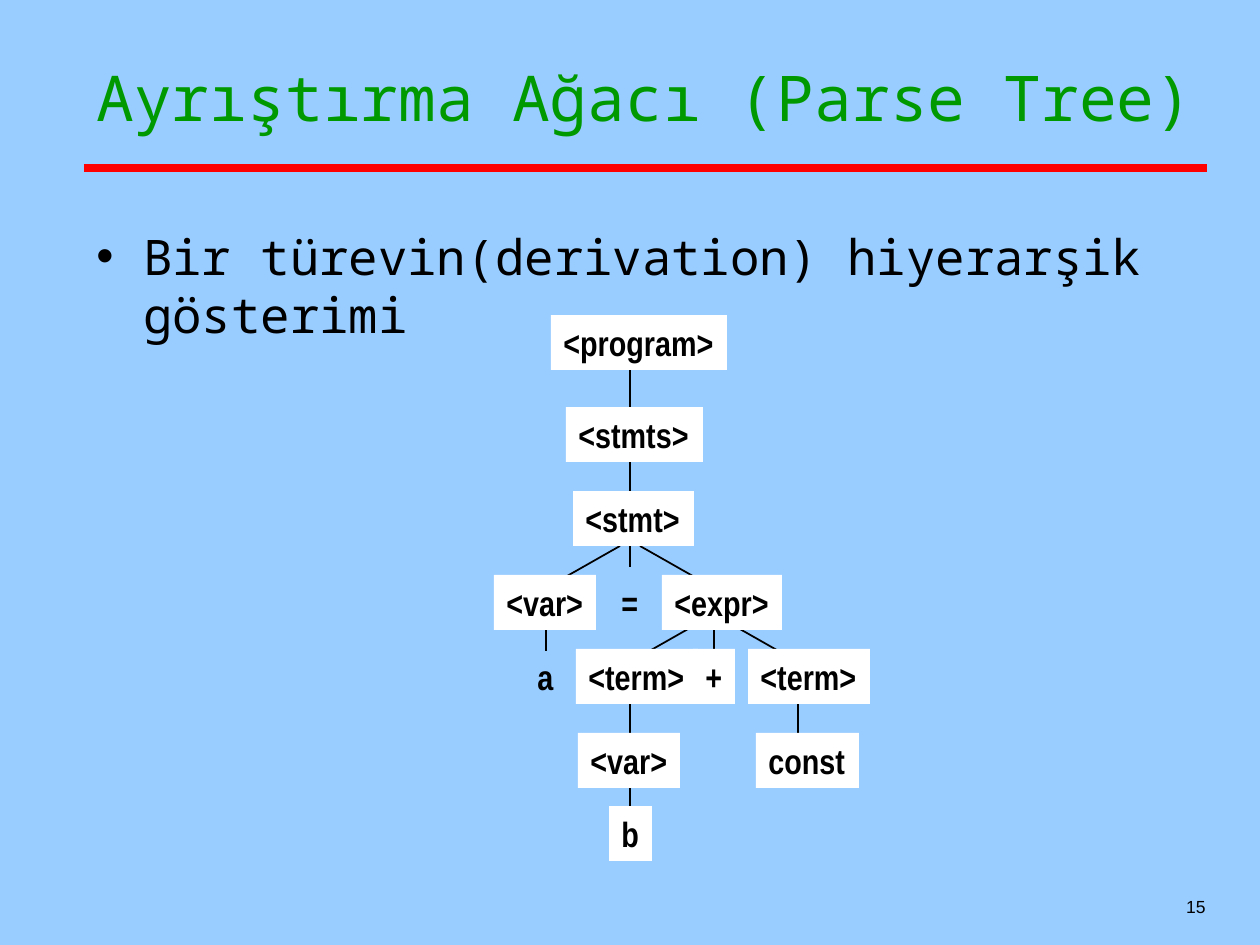
import pptx
import pptx.util
import pptx.dml.color
import pptx.enum.shapes
import pptx.enum.text
import pptx.oxml
import pptx.oxml.ns

SCALE = 914400 / 126
COLORS = {
    "sky": "99CCFF",
    "green": "009900",
    "red": "FF0000",
    "black": "000000",
    "white": "FFFFFF",
}
ALIGN = pptx.enum.text.PP_ALIGN
ANCHOR = pptx.enum.text.MSO_ANCHOR
FIT = pptx.enum.text.MSO_AUTO_SIZE

TITLE = {"name": "Noto Sans Mono", "size": pptx.util.Pt(36)}
BODY = {"name": "Noto Sans Mono", "size": pptx.util.Pt(28)}
NODE = {"name": "Arial Narrow", "size": pptx.util.Pt(20), "bold": True}
PAGE = {"name": "Arial", "size": pptx.util.Pt(10)}

COLS = [546, 630, 714, 798]
ROWS = [315, 407, 491, 575, 649, 733, 806]
HIGH = 55

NODES = [
    ("<program>", 551, 0, 176, "white"),
    ("<stmts>", 566, 1, 137, "white"),
    ("<stmt>", 573, 2, 121, "white"),
    ("<var>", 494, 3, 102, "white"),
    ("=", 609, 3, 42, None),
    ("<expr>", 662, 3, 120, "white"),
    ("a", 525, 4, 41, None),
    ("<term>", 576, 4, 122, "white"),
    ("+", 693, 4, 42, "white"),
    ("<term>", 748, 4, 122, "white"),
    ("<var>", 578, 5, 102, "white"),
    ("const", 756, 5, 103, "white"),
    ("b", 609, 6, 43, "white"),
]
STEMS = [(1, 346, 567), (0, 588, 651), (2, 588, 662), (1, 672, 840), (3, 672, 766)]
FORKS = [(1, 546, 588), (2, 620, 662)]


def px(num):
    return int(num * SCALE)


def tint(name):
    return pptx.dml.color.RGBColor.from_string(COLORS[name])


def apply(item, values):
    for key, value in values.items():
        setattr(item, key, value)


def draw_line(slide, start, end, color="black", width=1):
    line = slide.shapes.add_connector(
        pptx.enum.shapes.MSO_CONNECTOR.STRAIGHT, *map(px, start + end))
    line.line.color.rgb = tint(color)
    line.line.width = pptx.util.Pt(width)
    line._element.spPr.append(pptx.oxml.parse_xml(
        f"<a:effectLst {pptx.oxml.ns.nsdecls('a')}/>"))


def write(frame, text, font, color="black", align=ALIGN.LEFT):
    para = frame.paragraphs[0]
    para.alignment = align
    run = para.add_run()
    run.text = text
    apply(run.font, font)
    run.font.color.rgb = tint(color)
    return para


def add_text(slide, box, text, font, color="black", align=ALIGN.LEFT, **frame):
    shape = slide.shapes.add_textbox(*map(px, box))
    apply(shape.text_frame, {"word_wrap": True, **frame})
    return write(shape.text_frame, text, font, color, align)


def add_bullet(para, indent):
    props = para._p.get_or_add_pPr()
    props.set("marL", str(px(indent)))
    props.set("indent", str(-px(indent)))
    for tag in (f'buClr {{}}><a:srgbClr val="{COLORS["black"]}"/></a:buClr',
                'buFont {} typeface="Arial"/',
                'buChar {} char="•"/'):
        props.append(pptx.oxml.parse_xml(
            "<a:" + tag.format(pptx.oxml.ns.nsdecls("a")) + ">"))


def add_node(slide, text, left, row, width, fill):
    box = (left, ROWS[row], width, HIGH)
    fit = {"word_wrap": False, "auto_size": FIT.SHAPE_TO_FIT_TEXT}
    if not fill:
        add_text(slide, box, text, NODE, **fit)
        return
    shape = slide.shapes.add_shape(
        pptx.enum.shapes.MSO_SHAPE.RECTANGLE, *map(px, box))
    shape.shadow.inherit = False
    shape.fill.solid()
    shape.fill.fore_color.rgb = tint(fill)
    shape.line.fill.background()
    apply(shape.text_frame, {**fit, "vertical_anchor": ANCHOR.TOP})
    write(shape.text_frame, text, NODE)


def draw_tree(slide):
    for col, top, end in STEMS:
        draw_line(slide, (COLS[col], top), (COLS[col], end))
    for col, top, end in FORKS:
        for side in (-1, 1):
            mid = COLS[col]
            draw_line(slide, (mid + side * 10, top), (mid + side * 84, end))
    for node in NODES:
        add_node(slide, *node)


def main():
    deck = pptx.Presentation()
    deck.slide_width, deck.slide_height = px(1260), px(945)
    slide = deck.slides.add_slide(deck.slide_layouts[6])
    slide.background.fill.solid()
    slide.background.fill.fore_color.rgb = tint("sky")
    draw_line(slide, (84, 210), (84, 210), width=0.75)
    draw_line(slide, (84, 168), (1207, 168), "red", 4.5)
    add_text(slide, (84, 52, 1124, 157), "Ayrıştırma Ağacı (Parse Tree)",
             TITLE, "green")
    body = add_text(slide, (84, 220, 1124, 630),
                    "Bir türevin(derivation) hiyerarşik gösterimi", BODY)
    add_bullet(body, 47)
    draw_tree(slide)
    add_text(slide, (956, 860, 262, 63), "15", PAGE, align=ALIGN.RIGHT,
             vertical_anchor=ANCHOR.BOTTOM)
    deck.save("out.pptx")


if __name__ == "__main__":
    main()
